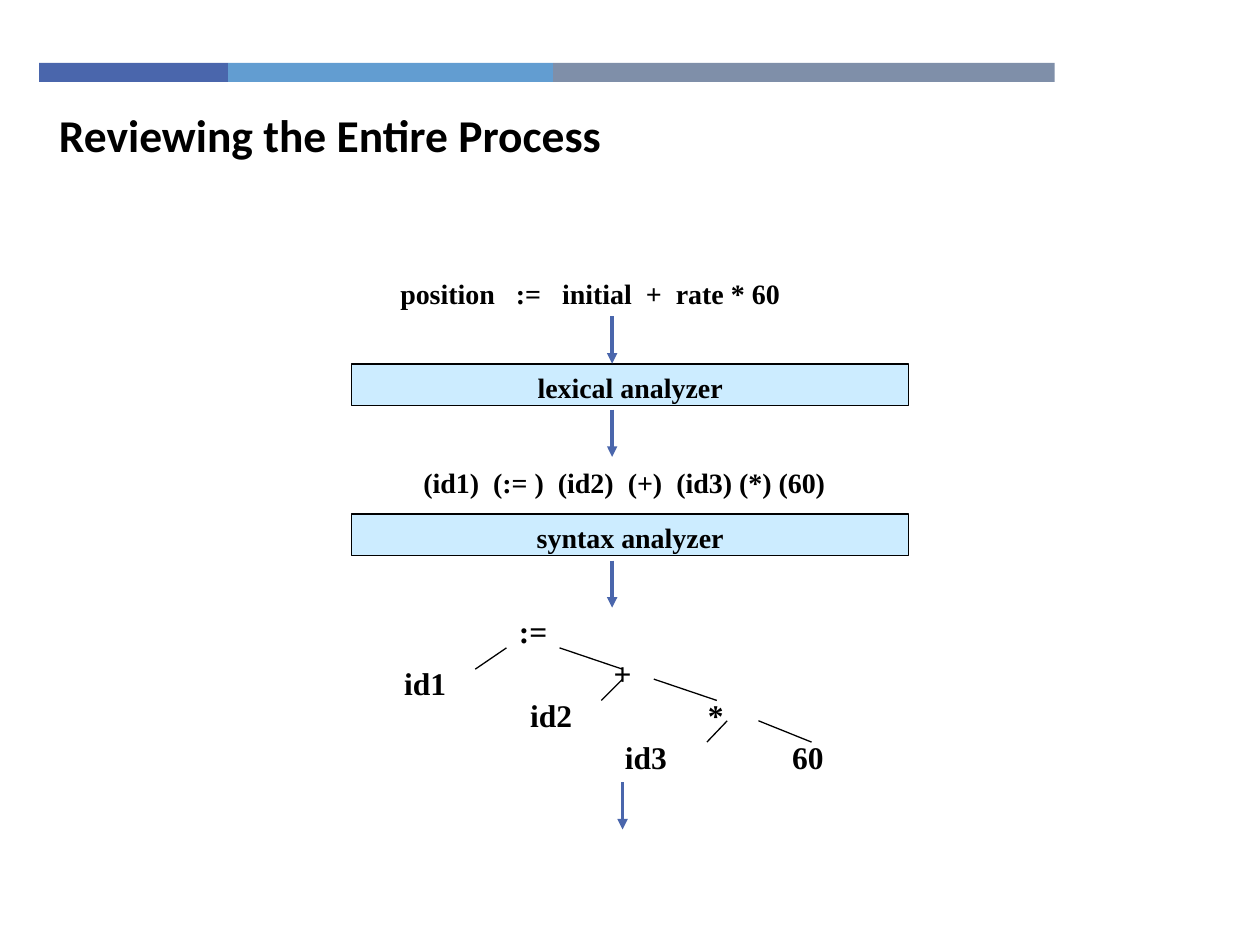
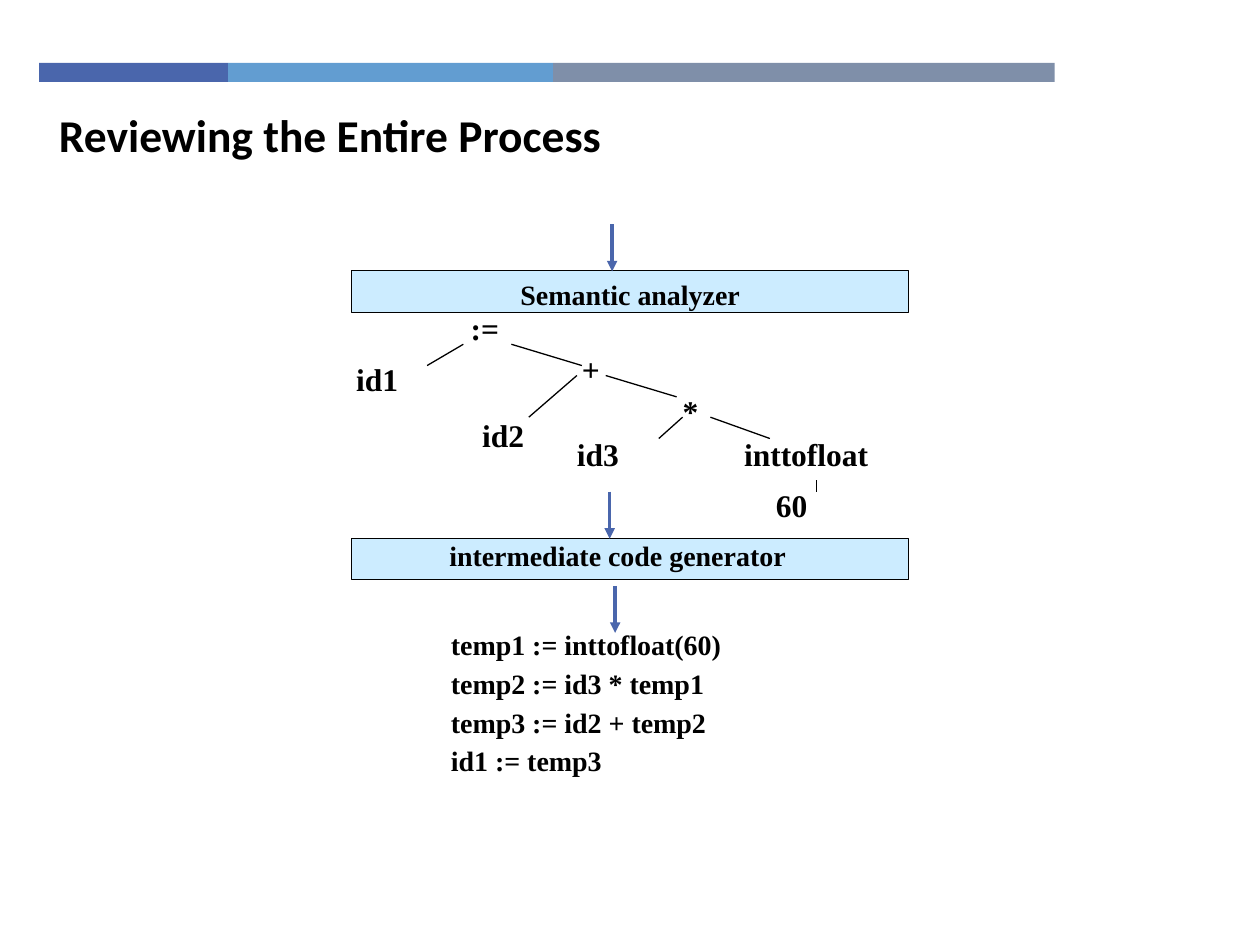
from lxml import etree
from pptx import Presentation
from pptx.dml.color import RGBColor
from pptx.enum import shapes, text
from pptx.oxml import ns
from pptx.util import Cm, Pt

HUES = {"blue": "4A66AC", "sky": "629DD1", "slate": "7F8FA9",
        "pale": "CCECFF", "ink": "000000"}
SERIF, SANS = "Times New Roman", "Calibri"
TITLE = "Reviewing the Entire Process"
MID, LEFT = text.PP_ALIGN.CENTER, text.PP_ALIGN.LEFT
STAGE = (7.09, 11.23, 0.84)  # left, width, height of a stage bar
DROP = 0.95  # length of a flow arrow


def hue(name):
    return RGBColor.from_string(HUES[name])


def style(para, size, face=SERIF, align=LEFT):
    para.alignment = align
    font = para.font
    font.name, font.size, font.bold = face, Pt(size), True
    font.color.rgb = hue("ink")


def say(slide, words, box, size=16, face=SERIF, align=LEFT):
    frame = slide.shapes.add_textbox(*map(Cm, box)).text_frame
    frame.word_wrap = True
    para = frame.paragraphs[0]
    para.text = words
    style(para, size, face, align)
    return frame


def block(slide, box, fill):
    rect = slide.shapes.add_shape(shapes.MSO_SHAPE.RECTANGLE, *map(Cm, box))
    rect.shadow.inherit = False
    rect.fill.solid()
    rect.fill.fore_color.rgb = hue(fill)
    rect.line.fill.background()
    return rect


def link(slide, start, end, tint="ink", width=0.75):
    line = slide.shapes.add_connector(
        shapes.MSO_CONNECTOR.STRAIGHT, *map(Cm, (*start, *end)))
    line.line.color.rgb = hue(tint)
    line.line.width = Pt(width)
    etree.SubElement(line.element.spPr, ns.qn("a:effectLst"))
    return line


def arrow(slide, x, y):
    line = link(slide, (x, y), (x, y + DROP), "blue", 2)
    tip = etree.SubElement(line.line._get_or_add_ln(), ns.qn("a:tailEnd"))
    tip.set("type", "triangle")


# Shared band and title
def header(slide):
    x = 0.79
    for tint, width in (("blue", 3.81), ("sky", 6.55), ("slate", 10.11)):
        block(slide, (x, 1.27, width, 0.38), tint)
        x += width
    say(slide, TITLE, (0.94, 2.03, 18.19, 1.37), 26, SANS)


# Compiler phase bar with its label
def stage(slide, y, label, top=0.13, right=0):
    x, width, height = STAGE
    rect = block(slide, (x, y, width, height), "pale")
    rect.line.color.rgb = hue("ink")
    rect.line.width = Pt(0.75)
    frame = rect.text_frame
    frame.vertical_anchor = text.MSO_ANCHOR.TOP
    frame.margin_top, frame.margin_bottom = Cm(top), Cm(0)
    frame.margin_left, frame.margin_right = Cm(0), Cm(right)
    frame.paragraphs[0].text = label
    style(frame.paragraphs[0], 16, align=MID)


# Row of tokens, each followed by a space widened by some points
def tokens(slide, box, words, align=LEFT):
    para = say(slide, "", box, align=align).paragraphs[0]
    for word, gap in words:
        para.add_run().text = word
        if gap:
            space = para.add_run()
            space.text = " "
            space.font._element.set("spc", str(gap * 100))


# Syntax tree, nodes and edges relative to its corner
def tree(slide, x, y, nodes, edges, scale=1):
    for word, dx, dy in nodes:
        width = (3.18 if len(word) > 2 else 1.7) * scale
        say(slide, word, (x + dx, y + dy, width, 1.02), 18)
    for ax, ay, bx, by in edges:
        link(slide, (x + ax, y + ay), (x + bx, y + by))


# Three-address code lines
def code(slide, box, lines):
    frame = say(slide, lines[0], box)
    for line in lines[1:]:
        para = frame.add_paragraph()
        para.text = line
        style(para, 16)
        para.line_spacing, para.space_before = 0.7, Pt(8.6)


def front(slide):
    header(slide)
    tokens(slide, (7.82, 5.46, 9.73, 0.94),
           [("position", 8), (":=", 8), ("initial", 4), ("+", 4),
            ("rate * 60", 0)])
    stage(slide, 7.34, "lexical analyzer")
    tokens(slide, (7.72, 9.27, 9.73, 0.94),
           [("(id1)", 4), ("(:= )", 4), ("(id2)", 4), ("(+)", 4),
            ("(id3) (*) (60)", 0)], MID)
    stage(slide, 10.36, "syntax analyzer")
    tree(slide, 7.9, 12.22,
         [(":=", 2.31, 0), ("id1", 0, 1.04), ("id2", 2.54, 1.68),
          ("id3", 4.45, 2.54), ("+", 4.22, 0.84), ("*", 6.12, 1.68),
          ("60", 7.82, 2.54)],
         [(2.31, 0.84, 1.68, 1.27), (3.38, 0.84, 4.65, 1.27),
          (5.28, 1.47, 6.55, 1.9), (7.39, 2.31, 8.46, 2.74),
          (6.76, 2.31, 6.35, 2.74), (4.65, 1.47, 4.22, 1.9)])
    for x, y in ((12.34, 6.38), (12.34, 8.26), (12.34, 11.3), (12.55, 15.77)):
        arrow(slide, x, y)


def back(slide):
    header(slide)
    stage(slide, 5.46, "Semantic analyzer")
    tree(slide, 6.93, 6.1,
         [(":=", 2.31, 0), ("id1", 0, 1.04), ("id2", 2.54, 2.16),
          ("id3", 4.45, 2.54), ("+", 4.55, 0.84), ("*", 6.58, 1.68),
          ("inttofloat", 7.82, 2.54), ("60", 8.46, 3.58)],
         [(2.41, 0.84, 1.68, 1.27), (3.38, 0.84, 4.8, 1.27),
          (5.28, 1.47, 6.71, 1.9), (7.39, 2.31, 8.59, 2.74),
          (6.83, 2.31, 6.35, 2.74), (4.7, 1.47, 3.73, 2.31),
          (9.53, 3.58, 9.53, 3.81)], 1.12)
    stage(slide, 10.85, "intermediate code generator", 0, 0.51)
    for x, y in ((12.34, 4.52), (12.29, 9.91), (12.4, 11.81)):
        arrow(slide, x, y)
    code(slide, (8.84, 12.52, 9.32, 3.43),
         ["temp1 := inttofloat(60)", "temp2 := id3 * temp1",
          "temp3 := id2 + temp2", "id1 := temp3"])


def main():
    deck = Presentation()
    deck.slide_width, deck.slide_height = Cm(25.4), Cm(19.05)
    for draw in (front, back):
        draw(deck.slides.add_slide(deck.slide_layouts[6]))
    deck.save("out.pptx")


if __name__ == "__main__":
    main()
